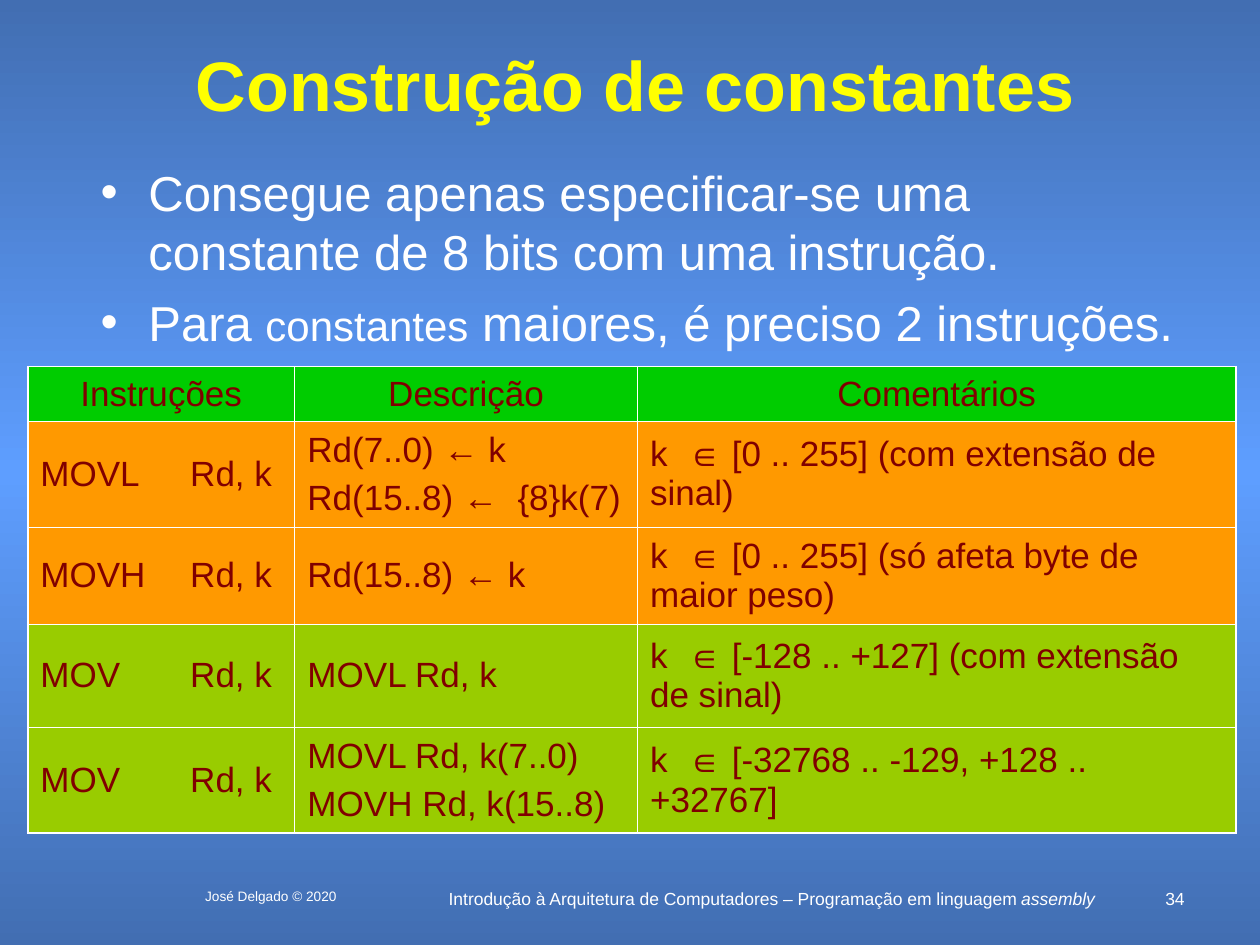
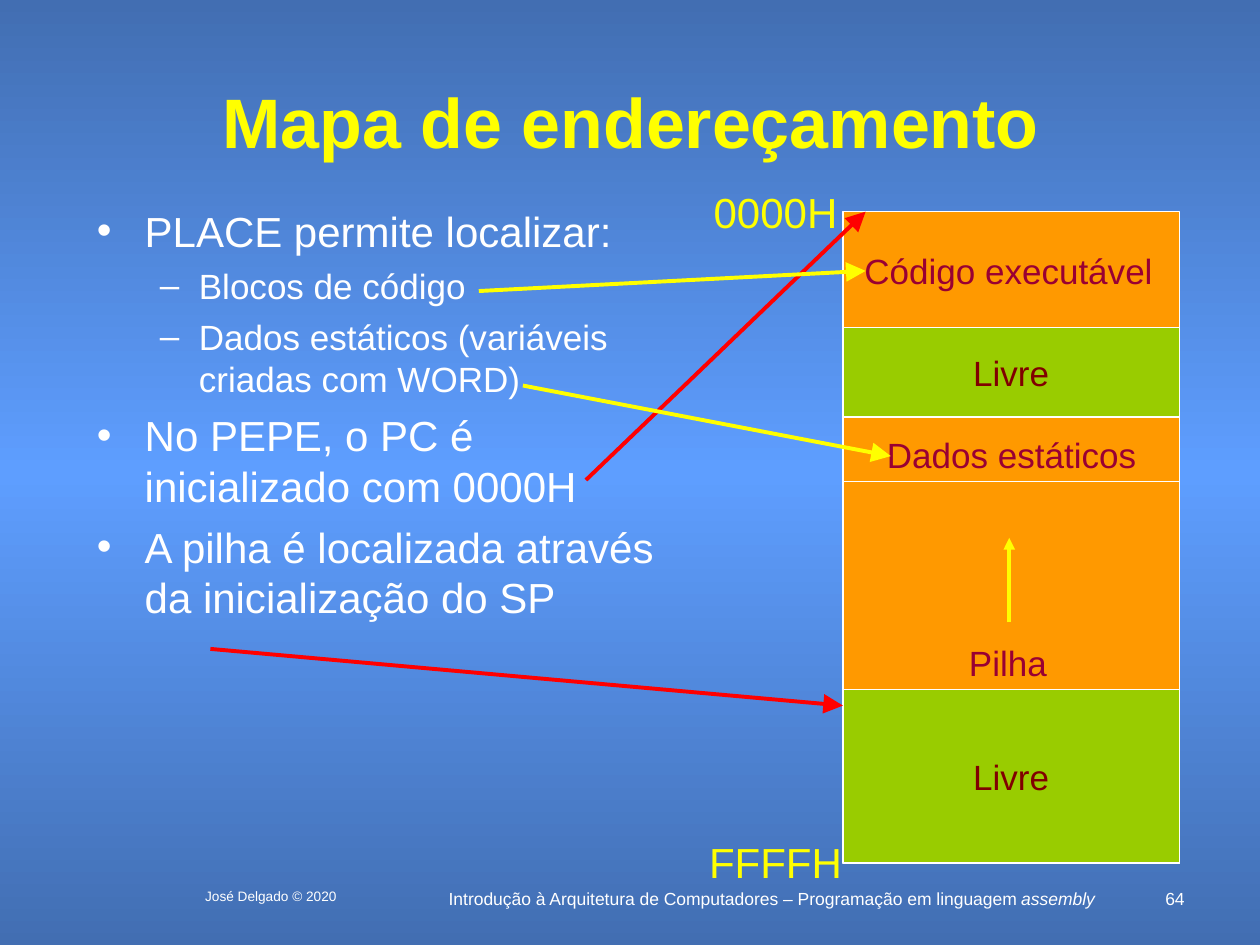
import copy
import dataclasses

import lxml.etree
import pptx
import pptx.dml.color
import pptx.enum.shapes
import pptx.enum.text
import pptx.oxml.ns
import pptx.util

Inches = pptx.util.Inches
Pt = pptx.util.Pt
qn = pptx.oxml.ns.qn
ALIGN = pptx.enum.text.PP_ALIGN
ANCHOR = pptx.enum.text.MSO_ANCHOR


@dataclasses.dataclass(frozen=True)
class Theme:
    font: str = "Arial"
    edge: str = "426EB2"
    glow: str = "5E9EFF"
    white: str = "FFFFFF"
    yellow: str = "FFFF00"
    red: str = "FF0000"
    header: str = "00CC00"
    orange: str = "FF9900"
    lime: str = "99CC00"
    maroon: str = "800000"
    wine: str = "990033"
    title: float = 40
    lead: float = 28
    body: float = 24
    detail: float = 20
    footer: float = 10
    author: float = 7.8
    outer_line: float = 1.08
    inner_line: float = 0.45
    block_line: float = 0.75
    arrow_line: float = 2.25


THEME = Theme()


@dataclasses.dataclass(frozen=True)
class Level:
    mark: str
    margin: float
    hanging: float
    space: float


TOPIC = Level("•", 0.38, 0.38, 6)
LEAD_TOPIC = dataclasses.replace(TOPIC, space=7)
SUBTOPIC = Level("–", 0.81, 0.31, 5)


def rgb(color):
    return pptx.dml.color.RGBColor.from_string(color)


def child(parent, tag, **attributes):
    return lxml.etree.SubElement(parent, qn(tag), attributes)


def add_run(paragraph, text, size, color, bold=False, italic=False):
    run = paragraph.add_run()
    run.text = text
    run.font.name = THEME.font
    run.font.size = Pt(size)
    run.font.bold = bold
    run.font.italic = italic
    run.font.color.rgb = rgb(color)


def next_paragraph(frame, index, space=0):
    if index == 0:
        return frame.paragraphs[0]
    paragraph = frame.add_paragraph()
    paragraph.space_before = Pt(space)
    return paragraph


def add_frame(slide, box, wrap=True, anchor=ANCHOR.TOP):
    frame = slide.shapes.add_textbox(*map(Inches, box)).text_frame
    frame.word_wrap = wrap
    frame.vertical_anchor = anchor
    return frame


def add_label(slide, box, text, size, color, align=ALIGN.CENTER, wrap=True,
              anchor=ANCHOR.TOP, bold=False):
    paragraph = add_frame(slide, box, wrap, anchor).paragraphs[0]
    paragraph.alignment = align
    add_run(paragraph, text, size, color, bold)
    return paragraph


def add_title(slide, box, text):
    add_label(slide, box, text, THEME.title, THEME.yellow,
              anchor=ANCHOR.MIDDLE, bold=True)


def add_bullets(slide, box, topics):
    frame = add_frame(slide, box)
    for index, (level, runs) in enumerate(topics):
        paragraph = next_paragraph(frame, index, level.space)
        properties = paragraph._p.get_or_add_pPr()
        properties.set("marL", str(Inches(level.margin)))
        properties.set("indent", str(-Inches(level.hanging)))
        child(child(properties, "a:buClr"), "a:srgbClr", val=THEME.white)
        child(properties, "a:buFont", typeface=THEME.font)
        child(properties, "a:buChar", char=level.mark)
        for text, size in runs:
            add_run(paragraph, text, size, THEME.white)


def add_block(slide, box, fill, text=""):
    block = slide.shapes.add_shape(
        pptx.enum.shapes.MSO_SHAPE.RECTANGLE, *map(Inches, box))
    block.shadow.inherit = False
    block.fill.solid()
    block.fill.fore_color.rgb = rgb(fill)
    block.line.color.rgb = rgb(THEME.white)
    block.line.width = Pt(THEME.block_line)
    if text:
        block.text_frame.vertical_anchor = ANCHOR.MIDDLE
        paragraph = block.text_frame.paragraphs[0]
        paragraph.alignment = ALIGN.CENTER
        add_run(paragraph, text, THEME.detail, THEME.maroon)


def add_line(slide, start, end, color, width, head=None):
    line = slide.shapes.add_connector(
        pptx.enum.shapes.MSO_CONNECTOR.STRAIGHT, *map(Inches, start + end))
    line.line.color.rgb = rgb(color)
    line.line.width = Pt(width)
    if head:
        child(line.line._get_or_add_ln(), "a:tailEnd",
              type="triangle", w=head, len=head)
    child(line._element.spPr, "a:effectLst")


def add_arrow(slide, start, end, color, head="lg"):
    add_line(slide, start, end, color, THEME.arrow_line, head)


def set_borders(cell, widths):
    properties = cell._tc.get_or_add_tcPr()
    for side, width in zip("LRTB", widths):
        border = child(properties, f"a:ln{side}", w=str(Pt(width)))
        if width:
            child(child(border, "a:solidFill"), "a:srgbClr", val=THEME.white)
        else:
            child(border, "a:noFill")


def border_widths(row, column, last_row, last_column):
    def edge(is_outer):
        return THEME.outer_line if is_outer else THEME.inner_line

    left, right = edge(column == 0), edge(column == last_column)
    if row > 0 and column == 0:
        right = 0
    if row > 0 and column == 1:
        left = 0
    return left, right, edge(row == 0), edge(row == last_row)


def add_instruction_table(slide, corner, widths, heights, rows):
    table = slide.shapes.add_table(
        len(rows), len(widths), *map(Inches, corner),
        Inches(sum(widths)), Inches(sum(heights))).table
    table.first_row = False
    table.horz_banding = False
    for column, width in zip(table.columns, widths):
        column.width = Inches(width)
    for row, height in zip(table.rows, heights):
        row.height = Inches(height)
    for r, (fill, texts) in enumerate(rows):
        for c, text in enumerate(texts):
            cell = table.cell(r, c)
            set_borders(cell, border_widths(r, c, len(rows) - 1, len(widths) - 1))
            cell.fill.solid()
            cell.fill.fore_color.rgb = rgb(fill)
            cell.vertical_anchor = ANCHOR.MIDDLE
            for index, line in enumerate(text.splitlines()):
                paragraph = next_paragraph(cell.text_frame, index, 5)
                paragraph.alignment = ALIGN.CENTER if r == 0 else ALIGN.LEFT
                add_run(paragraph, line, THEME.detail, THEME.maroon)
    table.cell(0, 0).merge(table.cell(0, 1))


def set_background(master):
    fill = master.background.fill
    fill.gradient()
    fill.gradient_angle = 90
    stops = master.element.find(".//" + qn("a:gsLst"))
    stops.append(copy.deepcopy(stops[-1]))
    colors = (THEME.edge, THEME.glow, THEME.edge)
    for stop, position, color in zip(fill.gradient_stops, (0, 0.5, 1), colors):
        stop.position = position
        stop.color.rgb = rgb(color)


def add_slide(deck, number):
    slide = deck.slides.add_slide(deck.slide_layouts[6])
    course = add_label(
        slide, (3.45, 7, 5.35, 0.25),
        "Introdução à Arquitetura de Computadores – Programação em linguagem ",
        THEME.footer, THEME.white)
    add_run(course, "assembly", THEME.footer, THEME.white, italic=True)
    add_label(slide, (9.08, 7, 0.42, 0.17), str(number), THEME.footer,
              THEME.white, ALIGN.RIGHT)
    add_label(slide, (1.33, 7, 1.64, 0.25), "José Delgado © 2020",
              THEME.author, THEME.white)
    return slide


def build_constants(deck):
    slide = add_slide(deck, 34)
    add_title(slide, (0.75, 0.33, 8.58, 0.67), "Construção de constantes")
    rows = [
        (THEME.header, ("Instruções", "", "Descrição", "Comentários")),
        (THEME.orange, ("MOVL", "Rd, k", "Rd(7..0) ← k\nRd(15..8) ←  {8}k(7)",
                        "k  ∈ [0 .. 255] (com extensão de sinal)")),
        (THEME.orange, ("MOVH", "Rd, k", "Rd(15..8) ← k",
                        "k  ∈ [0 .. 255] (só afeta byte de maior peso)")),
        (THEME.lime, ("MOV", "Rd, k", "MOVL Rd, k",
                      "k  ∈ [-128 .. +127] (com extensão de sinal)")),
        (THEME.lime, ("MOV", "Rd, k", "MOVL Rd, k(7..0)\nMOVH Rd, k(15..8)",
                      "k  ∈ [-32768 .. -129, +128 .. +32767]")),
    ]
    add_instruction_table(slide, (0.22, 2.91), (1.19, 0.93, 2.72, 4.75),
                          (0.43, 0.84, 0.77, 0.82, 0.84), rows)
    add_bullets(slide, (0.7, 1.24, 8.86, 1.64), [
        (LEAD_TOPIC, [("Consegue apenas especificar-se uma constante de 8 bits "
                       "com uma instrução.", THEME.lead)]),
        (LEAD_TOPIC, [("Para ", THEME.lead), ("constantes", THEME.body),
                      (" maiores, é preciso 2 instruções.", THEME.lead)]),
    ])


def build_address_map(deck):
    slide = add_slide(deck, 64)
    add_title(slide, (0.67, 0.58, 8.67, 0.75), "Mapa de endereçamento")
    add_bullets(slide, (0.67, 1.58, 4.62, 5.08), [
        (TOPIC, [("PLACE permite localizar:", THEME.body)]),
        (SUBTOPIC, [("Blocos de código", THEME.detail)]),
        (SUBTOPIC, [("Dados estáticos (variáveis criadas com WORD)",
                     THEME.detail)]),
        (TOPIC, [("No PEPE, o PC é inicializado com 0000H", THEME.body)]),
        (TOPIC, [("A pilha é localizada através da inicialização do SP",
                  THEME.body)]),
    ])

    left, top, width, height = 6.69, 1.68, 2.67, 5.17
    add_block(slide, (left, top, width, height), THEME.orange)
    for box, region in [((6.7, 1.93, 2.61, 0.44), "Código executável"),
                        ((6.9, 3.39, 2.26, 0.44), "Dados estáticos"),
                        ((7.4, 5.04, 1.2, 0.44), "Pilha")]:
        add_label(slide, box, region, THEME.detail, THEME.wine, wrap=False)
    add_arrow(slide, (8.01, 4.94), (8.01, 4.27), THEME.yellow, "med")
    add_line(slide, (left, 3.82), (left + width, 3.82), THEME.white,
             THEME.block_line)
    for free_top, free_height in [(5.47, 1.38), (2.6, 0.71)]:
        add_block(slide, (left, free_top, width, free_height), THEME.lime,
                  "Livre")

    add_arrow(slide, (1.67, 5.15), (left, 5.6), THEME.red)
    add_arrow(slide, (4.65, 3.81), (6.87, top), THEME.red)
    for address_top, address in [(1.43, "0000H"), (6.59, "FFFFH")]:
        add_label(slide, (5.45, address_top, 1.41, 0.5), address, THEME.body,
                  THEME.yellow)
    add_arrow(slide, (3.8, 2.31), (6.87, 2.15), THEME.yellow)
    add_arrow(slide, (4.15, 3.06), (7.07, 3.62), THEME.yellow)


def main():
    deck = pptx.Presentation()
    deck.slide_width = Inches(10)
    deck.slide_height = Inches(7.5)
    set_background(deck.slide_master)
    build_constants(deck)
    build_address_map(deck)
    deck.save("out.pptx")


if __name__ == "__main__":
    main()
